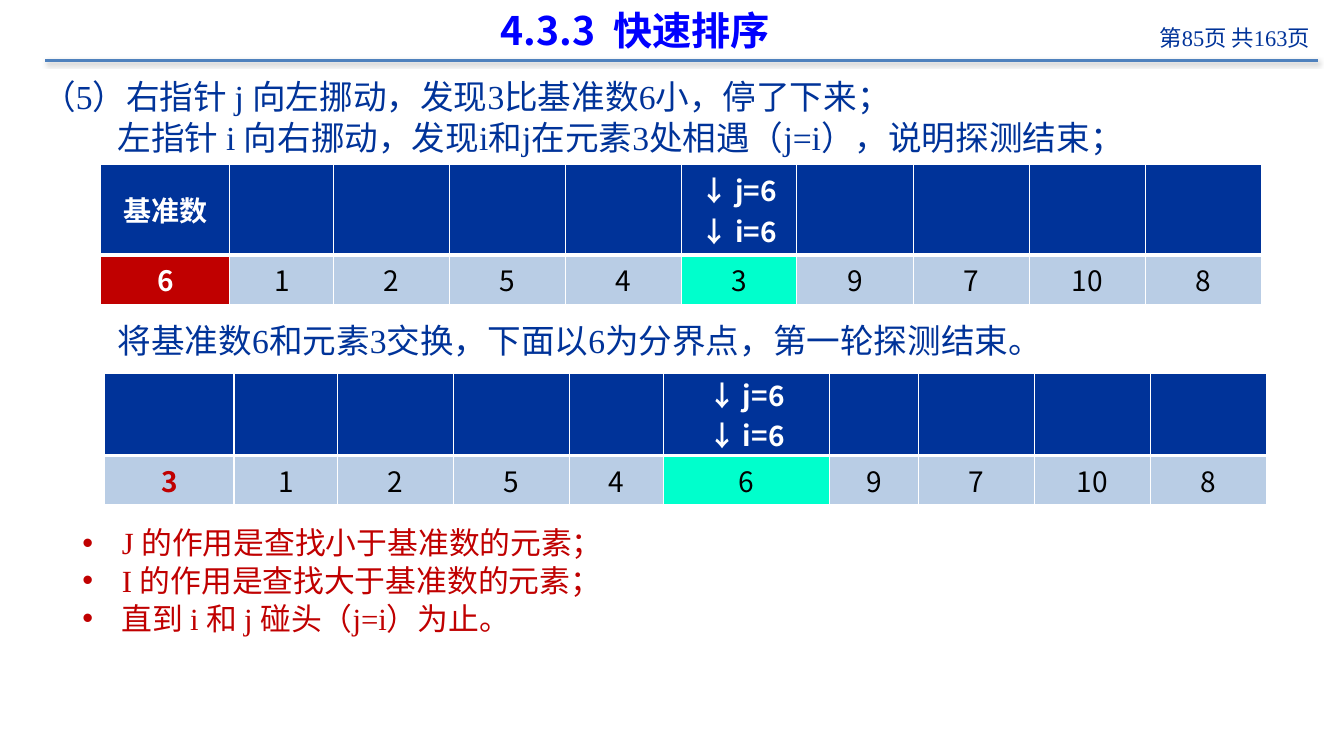
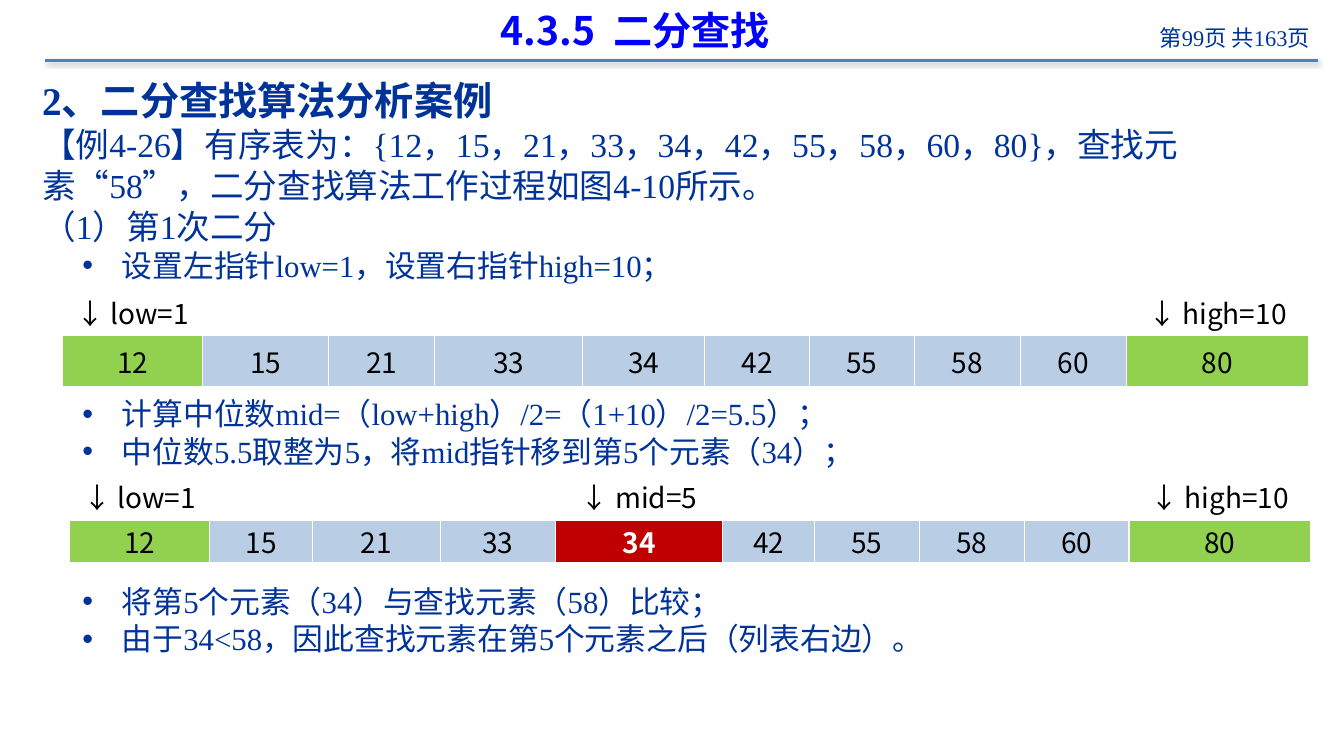
"""Build two lecture slides on quick sort and binary search."""
from dataclasses import dataclass

from lxml import etree
from pptx import Presentation
from pptx.dml.color import RGBColor
from pptx.enum.lang import MSO_LANGUAGE_ID
from pptx.enum.shapes import MSO_CONNECTOR
from pptx.enum.text import MSO_ANCHOR, PP_ALIGN
from pptx.oxml import parse_xml
from pptx.oxml.ns import nsdecls, qn
from pptx.util import Inches, Pt

STRAIGHT = MSO_CONNECTOR.STRAIGHT
MIDDLE, TOP = MSO_ANCHOR.MIDDLE, MSO_ANCHOR.TOP
LEFT, CENTER, RIGHT = PP_ALIGN.LEFT, PP_ALIGN.CENTER, PP_ALIGN.RIGHT
CHINESE = MSO_LANGUAGE_ID.SIMPLIFIED_CHINESE


@dataclass(frozen=True)
class Theme:
    """Colours, fonts and type sizes of the lecture."""
    navy: str = "003399"
    blue: str = "0000FF"
    rule: str = "4F81BD"
    red: str = "C00000"
    pale: str = "B9CDE5"
    mint: str = "00FFCC"
    green: str = "92D050"
    white: str = "FFFFFF"
    black: str = "000000"
    sans: str = "Noto Sans CJK SC"
    serif: str = "Times New Roman"
    title_size: int = 28
    heading_size: int = 28
    body_size: int = 24
    bullet_size: int = 22
    page_size: int = 16
    cell_size: int = 20


THEME = Theme()
PAGE_COUNT = 163
BODY_LEFT, BODY_WIDTH = 0.32, 12.74

# kind: size, line pitch, bold, left margin, first-line indent, bullet
PARAGRAPH_KINDS = {
    "heading": (THEME.heading_size, 34, True, 0, 0, None),
    "body": (THEME.body_size, 29, False, 0, 0, None),
    "indented": (THEME.body_size, 29, False, 0.75, 0, None),
    "bullet": (THEME.bullet_size, 26.5, False, 0.79, -0.39, "•"),
}

# cell style: fill, text colour, bold
CELL_STYLES = {
    "header": (THEME.navy, THEME.white, True),
    "pointer": (THEME.white, THEME.black, False),
    "plain": (THEME.pale, THEME.black, False),
    "pivot": (THEME.red, THEME.white, True),
    "moved": (THEME.pale, THEME.red, True),
    "meeting": (THEME.mint, THEME.black, False),
    "end": (THEME.green, THEME.black, False),
}

SORTED_VALUES = [12, 15, 21, 33, 34, 42, 55, 58, 60, 80]

SLIDES = [
    {
        "title": "4.3.3  快速排序",
        "page": 85,
        "texts": [
            (0.7, THEME.navy, [
                ("body", "（5）右指针 j 向左挪动，发现3比基准数6小，停了下来；"),
                ("indented", "左指针 i 向右挪动，发现i和j在元素3处相遇（j=i），说明探测结束；"),
            ]),
            (3.12, THEME.navy, [
                ("indented", "将基准数6和元素3交换，下面以6为分界点，第一轮探测结束。"),
            ]),
            (5.15, THEME.red, [
                ("bullet", "J 的作用是查找小于基准数的元素；"),
                ("bullet", "I 的作用是查找大于基准数的元素；"),
                ("bullet", "直到 i 和 j 碰头（j=i）为止。"),
            ]),
        ],
        "tables": [
            {
                "origin": (1, 1.63),
                "columns": [1.28, 1.03, 1.15, 1.15, 1.15, 1.14, 1.16, 1.15, 1.15, 1.15],
                "rows": [0.9, 0.49],
                "labels": ("header", {0: ["基准数"], 5: ["↓ j=6", "↓ i=6"]}),
                "values": [6, 1, 2, 5, 4, 3, 9, 7, 10, 8],
                "marked": {0: "pivot", 5: "meeting"},
            },
            {
                "origin": (1.04, 3.7),
                "columns": [1.28, 1.03, 1.15, 1.15, 0.93, 1.65, 0.88, 1.15, 1.15, 1.15],
                "rows": [0.82, 0.49],
                "labels": ("header", {5: ["↓ j=6", "↓ i=6"]}),
                "values": [3, 1, 2, 5, 4, 6, 9, 7, 10, 8],
                "marked": {0: "moved", 5: "meeting"},
            },
        ],
    },
    {
        "title": "4.3.5  二分查找",
        "page": 99,
        "texts": [
            (0.7, THEME.navy, [
                ("heading", "2、二分查找算法分析案例"),
                ("body", "【例4-26】有序表为：{12，15，21，33，34，42，55，58，60，80}，"
                         "查找元素“58”，二分查找算法工作过程如图4-10所示。"),
                ("body", "（1）第1次二分"),
                ("bullet", "设置左指针low=1，设置右指针high=10；"),
            ]),
            (3.87, THEME.navy, [
                ("bullet", "计算中位数mid=（low+high）/2=（1+10）/2=5.5）；"),
                ("bullet", "中位数5.5取整为5，将mid指针移到第5个元素（34）；"),
            ]),
            (5.73, THEME.navy, [
                ("bullet", "将第5个元素（34）与查找元素（58）比较；"),
                ("bullet", "由于34<58，因此查找元素在第5个元素之后（列表右边）。"),
            ]),
        ],
        "tables": [
            {
                "origin": (0.62, 2.88),
                "columns": [1.39, 1.25, 1.05, 1.47, 1.21, 1.04, 1.04, 1.05, 1.05, 1.81],
                "rows": [0.44, 0.52],
                "labels": ("pointer", {0: ["↓ low=1"], 9: ["↓ high=10"]}),
                "values": SORTED_VALUES,
                "marked": {0: "end", 9: "end"},
            },
            {
                "origin": (0.69, 4.7),
                "columns": [1.39, 1.02, 1.27, 1.14, 1.66, 0.91, 1.04, 1.04, 1.04, 1.8],
                "rows": [0.45, 0.43],
                "labels": ("pointer", {0: ["↓ low=1"], 4: ["↓ mid=5"], 9: ["↓ high=10"]}),
                "values": SORTED_VALUES,
                "marked": {0: "end", 4: "pivot", 9: "end"},
            },
        ],
    },
]


def add_run(paragraph, text, size, font_name, colour, bold=False):
    """Append one run, with Chinese characters in the sans typeface."""
    run = paragraph.add_run()
    run.text = text
    font = run.font
    font.size, font.name, font.bold = Pt(size), font_name, bold
    font.language_id = CHINESE
    font.color.rgb = RGBColor.from_string(colour)
    latin = font._element.find(qn("a:latin"))
    latin.addnext(etree.Element(qn("a:ea"), typeface=THEME.sans))


def add_box(slide, left, top, width, height, anchor=TOP):
    """Add a wrapping text box and return its text frame."""
    frame = slide.shapes.add_textbox(*map(Inches, (left, top, width, height))).text_frame
    frame.word_wrap = True
    frame.vertical_anchor = anchor
    return frame


def next_paragraph(frame, index):
    """Return the first paragraph of a frame, or a new one after it."""
    return frame.add_paragraph() if index else frame.paragraphs[0]


def add_header(slide, title, page):
    """Add the title, the page count and the shadowed rule below them."""
    rule = slide.shapes.add_connector(STRAIGHT, *map(Inches, (0.45, 0.6, 13.07, 0.6)))
    rule.line.color.rgb = RGBColor.from_string(THEME.rule)
    rule.line.width = Pt(2)
    rule._element.spPr.append(parse_xml(
        f'<a:effectLst {nsdecls("a")}><a:outerShdw blurRad="{Pt(3.1)}" dist="{Pt(1.6)}" '
        f'dir="5400000" rotWithShape="0"><a:srgbClr val="{THEME.black}">'
        '<a:alpha val="38000"/></a:srgbClr></a:outerShdw></a:effectLst>'))
    paragraph = add_box(slide, 10.83, 0.14, 2.26, 0.45, MIDDLE).paragraphs[0]
    paragraph.alignment = RIGHT
    paragraph.line_spacing = Pt(20)
    add_run(paragraph, f"第{page}页 共{PAGE_COUNT}页", THEME.page_size, THEME.serif, THEME.navy)
    paragraph = add_box(slide, 0.77, 0.02, 11.06, 0.56, MIDDLE).paragraphs[0]
    paragraph.alignment = CENTER
    add_run(paragraph, title, THEME.title_size, THEME.sans, THEME.blue, True)


def add_text(slide, top, colour, paragraphs):
    """Add one block of body paragraphs."""
    height = 0.1 + sum(PARAGRAPH_KINDS[kind][1] for kind, _ in paragraphs) / 72
    frame = add_box(slide, BODY_LEFT, top, BODY_WIDTH, round(height, 2))
    for index, (kind, text) in enumerate(paragraphs):
        size, pitch, bold, margin, indent, bullet = PARAGRAPH_KINDS[kind]
        paragraph = next_paragraph(frame, index)
        paragraph.alignment = LEFT
        paragraph.line_spacing = Pt(pitch)
        if index:
            paragraph.space_before = Pt(0.3)
        properties = paragraph._p.get_or_add_pPr()
        properties.set("marL", str(Inches(margin)))
        properties.set("indent", str(Inches(indent)))
        if bullet:
            etree.SubElement(properties, qn("a:buFont"), typeface="Arial")
            etree.SubElement(properties, qn("a:buChar"), char=bullet)
        add_run(paragraph, text, size, THEME.serif, colour, bold)


def set_borders(cell, widths):
    """Draw white cell borders, given as side: width in points."""
    properties = cell._tc.get_or_add_tcPr()
    for position, (side, width) in enumerate(widths.items()):
        properties.insert(position, parse_xml(
            f'<a:ln{side} {nsdecls("a")} w="{Pt(width)}"><a:solidFill>'
            f'<a:srgbClr val="{THEME.white}"/></a:solidFill></a:ln{side}>'))


def fill_cell(cell, lines, style, borders):
    """Give a cell its fill, borders and centred lines of text."""
    fill, colour, bold = CELL_STYLES[style]
    cell.fill.solid()
    cell.fill.fore_color.rgb = RGBColor.from_string(fill)
    cell.vertical_anchor = MIDDLE
    cell.margin_left = cell.margin_right = Inches(0.07)
    cell.margin_top = cell.margin_bottom = 0
    set_borders(cell, borders)
    for index, line in enumerate(lines):
        paragraph = next_paragraph(cell.text_frame, index)
        paragraph.alignment = CENTER
        add_run(paragraph, line, THEME.cell_size, THEME.sans, colour, bold)


def add_array(slide, origin, columns, rows, labels, values, marked):
    """Add an array as a table: pointer labels above the values."""
    size = (sum(columns), sum(rows))
    table = slide.shapes.add_table(
        len(rows), len(columns), *map(Inches, origin + size)).table
    table.first_row = table.horz_banding = False
    for row, height in zip(table.rows, rows):
        row.height = Inches(height)
    label_style, label_lines = labels
    for index, width in enumerate(columns):
        table.columns[index].width = Inches(width)
        fill_cell(table.cell(0, index), label_lines.get(index, []), label_style,
                  {"L": 1, "R": 1, "T": 1, "B": 3})
        fill_cell(table.cell(1, index), [str(values[index])], marked.get(index, "plain"),
                  {"L": 1, "R": 1, "T": 3, "B": 1})


def main():
    """Build and save the presentation."""
    presentation = Presentation()
    presentation.slide_width, presentation.slide_height = Inches(13.33), Inches(7.5)
    blank = presentation.slide_layouts[6]
    for content in SLIDES:
        slide = presentation.slides.add_slide(blank)
        add_header(slide, content["title"], content["page"])
        for block in content["texts"]:
            add_text(slide, *block)
        for array in content["tables"]:
            add_array(slide, **array)
    presentation.save("out.pptx")


if __name__ == "__main__":
    main()
